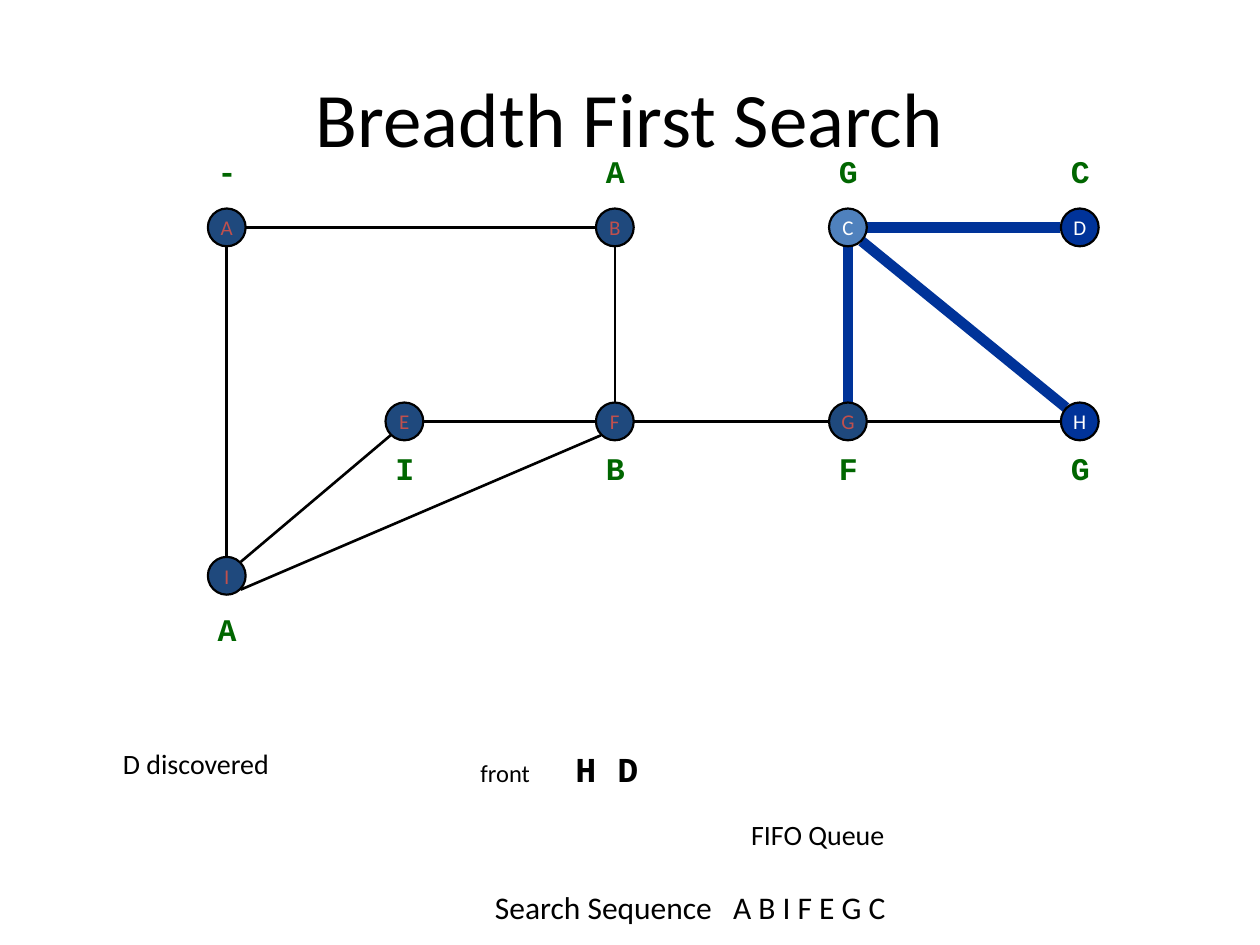
from lxml import etree
from pptx import Presentation
from pptx.dml.color import RGBColor
from pptx.enum import shapes, text
from pptx.oxml import ns
from pptx.util import Inches, Pt

THEME = {
    "sans": "Calibri", "mono": "Courier New",
    "ink": "000000", "white": "FFFFFF", "parent": "006600",
    "active": "003399", "current": "4F81BD", "visited": "1F497D", "faded": "C0504D",
    "title": 44, "queue": 20, "label": 18, "note": 16, "small": 14, "node": 12,
    "edge": 1.5, "outline": 1.25, "highlight": 6,
}

prs = Presentation()
prs.slide_width, prs.slide_height = Inches(10), Inches(7.5)
CELL = prs.slide_width / 100
slide = prs.slides.add_slide(prs.slide_layouts[6])


def grid(*cells):
    return [round(c * CELL) for c in cells]


def write(sp, words, size, color="ink", font="sans", align="CENTER",
          anchor="TOP", wrap=True, bold=False, inset=1):
    tf = sp.text_frame
    tf.word_wrap = wrap
    tf.vertical_anchor = getattr(text.MSO_ANCHOR, anchor)
    tf.margin_left, tf.margin_right = grid(inset, inset)
    p = tf.paragraphs[0]
    p.text = words
    p.alignment = getattr(text.PP_ALIGN, align)
    p.font.name, p.font.size, p.font.bold = THEME[font], Pt(THEME[size]), bold
    p.font.color.rgb = RGBColor.from_string(THEME[color])
    return p


columns = [18, 32.1, 48.8, 67.3, 85.7]
rows = [18.05, 33.45, 45.7]
label_rise = [-6.5, 1.7, 2.2]
diameter = 3
axis_gap, diagonal_gap = 1.55, 1.1

nodes = {
    "A": (0, 0, "-", "visited"), "B": (2, 0, "A", "visited"),
    "C": (3, 0, "G", "current"), "D": (4, 0, "C", "active"),
    "E": (1, 1, "I", "visited"), "F": (2, 1, "B", "visited"),
    "G": (3, 1, "F", "visited"), "H": (4, 1, "G", "active"),
    "I": (0, 2, "A", "visited"),
}
ports = {"n": (0, -1), "e": (1, 0), "s": (0, 1), "w": (-1, 0),
         "ne": (1, -1), "se": (1, 1), "sw": (-1, 1), "nw": (-1, -1)}
edges = [
    ("A", "s", "I", "n", False), ("F", "n", "B", "s", False),
    ("E", "e", "F", "w", False), ("I", "ne", "E", "sw", False),
    ("A", "e", "B", "w", False), ("I", "se", "F", "sw", False),
    ("G", "e", "H", "w", False), ("F", "e", "G", "w", False),
    ("C", "s", "G", "n", True), ("C", "se", "H", "nw", True),
    ("C", "e", "D", "w", True),
]

for start, leave, end, enter, highlighted in edges:
    points = []
    for name, port in ((start, leave), (end, enter)):
        column, row = nodes[name][:2]
        dx, dy = ports[port]
        gap = diagonal_gap if dx and dy else axis_gap
        points += [columns[column] + dx * gap, rows[row] + dy * gap]
    line = slide.shapes.add_connector(shapes.MSO_CONNECTOR.STRAIGHT, *grid(*points))
    line.line.color.rgb = RGBColor.from_string(THEME["active" if highlighted else "ink"])
    line.line.width = Pt(THEME["highlight" if highlighted else "edge"])
    etree.SubElement(line._element.spPr, ns.qn("a:effectLst"))

for name, (column, row, parent, state) in nodes.items():
    x, y = columns[column], rows[row]
    sp = slide.shapes.add_shape(
        shapes.MSO_SHAPE.OVAL,
        *grid(x - diameter / 2, y - diameter / 2, diameter, diameter))
    sp.shadow.inherit = False
    sp.fill.solid()
    sp.fill.fore_color.rgb = RGBColor.from_string(THEME[state])
    sp.line.color.rgb = RGBColor.from_string(THEME["ink"])
    sp.line.width = Pt(THEME["outline"])
    write(sp, name, "node", "faded" if state == "visited" else "white",
          anchor="MIDDLE", wrap=False)
    sp = slide.shapes.add_textbox(*grid(x - 1.7, y + label_rise[row], 3.7, 4))
    write(sp, parent, "label", "parent", "mono", "LEFT", bold=True)

captions = [
    ((5, 3, 90, 12.5), "Breadth First Search", "title", {"anchor": "MIDDLE"}),
    ((44, 58.8, 42.2, 4.9), "H D", "queue",
     {"font": "mono", "align": "LEFT", "bold": True, "inset": 1.67}),
    ((36, 59.7, 8.2, 3.3), "front", "small", {}),
    ((3.2, 58.8, 24.7, 4), "D discovered", "note", {"inset": 0}),
    ((44, 64.4, 41.8, 3.7), "FIFO Queue", "note", {}),
    ((38.3, 70, 49.3, 4), "Search Sequence\tA B I F E G C", "label", {"align": "LEFT"}),
]
for box, words, size, style in captions:
    p = write(slide.shapes.add_textbox(*grid(*box)), words, size, **style)
    if "\t" in words:
        tabs = etree.Element(ns.qn("a:tabLst"))
        etree.SubElement(tabs, ns.qn("a:tab"), pos=str(grid(18.9)[0]), algn="l")
        p._p.get_or_add_pPr().insert(0, tabs)

prs.save("out.pptx")
